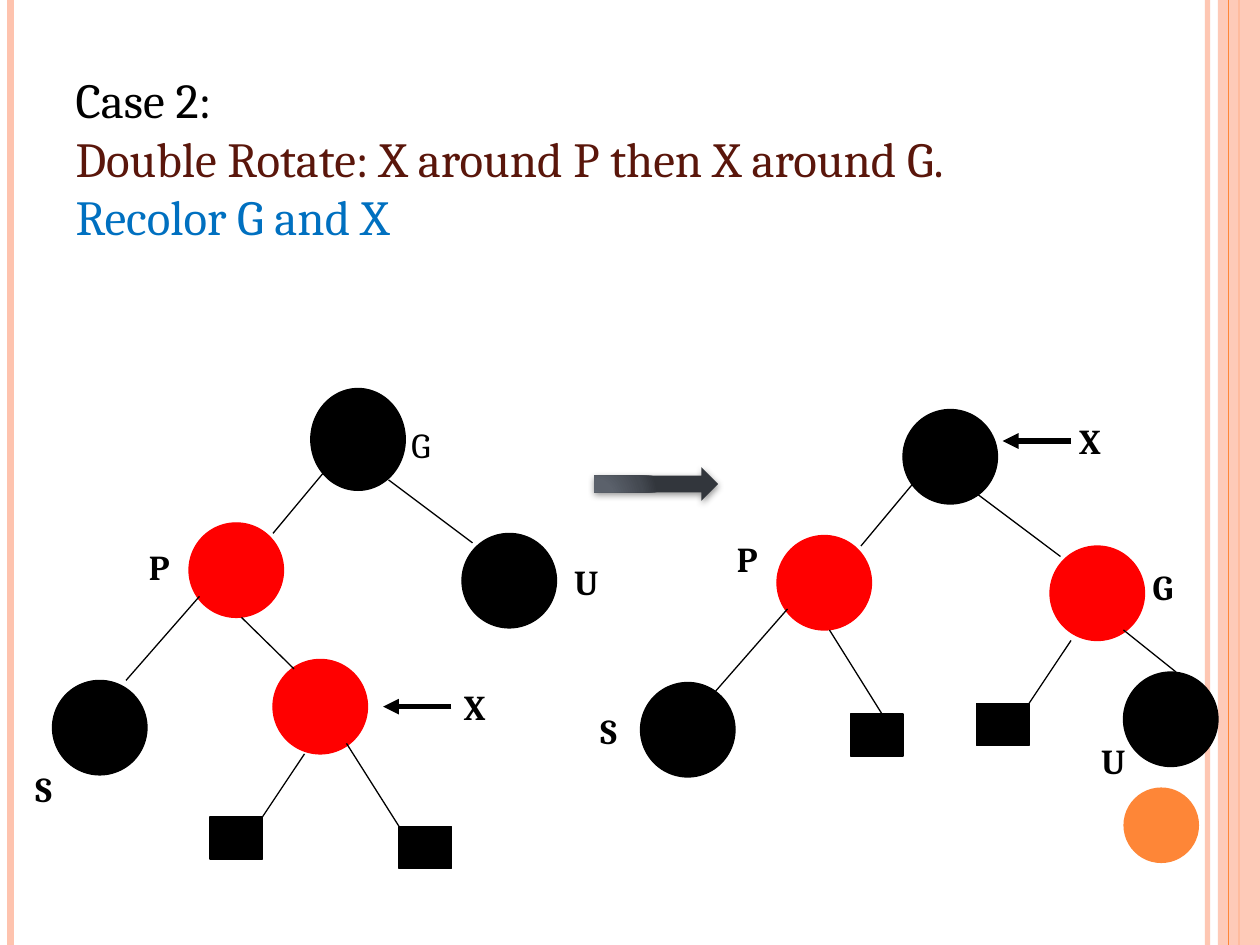
from dataclasses import dataclass

from pptx import Presentation
from pptx.dml.color import RGBColor
from pptx.enum.shapes import MSO_CONNECTOR, MSO_SHAPE
from pptx.enum.text import MSO_ANCHOR, MSO_AUTO_SIZE, PP_ALIGN
from pptx.oxml import parse_xml
from pptx.oxml.ns import nsdecls, qn
from pptx.oxml.xmlchemy import OxmlElement
from pptx.util import Emu, Pt

PX = 7620  # 120 px to the inch


@dataclass(frozen=True)
class Theme:
    font: str = "Cambria"
    title_size: int = 28
    label_size: int = 20
    black: str = "000000"
    red: str = "FF0000"
    brown: str = "5A160B"
    blue: str = "0070C0"
    peach: str = "FEC3AE"
    orange: str = "FE8637"
    arrow_stops: tuple = ((0, "5E656F"), (30, "5B616B"), (75, "444951"), (100, "32363C"))


def px(*lengths):
    return [Emu(length * PX) for length in lengths]


def set_alpha(fill_parent, percent):
    color = next(fill_parent.iter(qn("a:srgbClr")))
    alpha = OxmlElement("a:alpha")
    alpha.set("val", str(percent * 1000))
    color.append(alpha)


class SlideBuilder:
    def __init__(self, slide, theme):
        self.slide = slide
        self.theme = theme

    def styled_run(self, paragraph, text, size, color, bold=False):
        run = paragraph.add_run()
        run.text = text
        run.font.name = self.theme.font
        run.font.size = Pt(size)
        run.font.bold = bold
        run.font.color.rgb = RGBColor.from_string(color)

    def title(self, left, top, width, height, lines):
        title = self.slide.shapes.title
        title.left, title.top, title.width, title.height = px(left, top, width, height)
        frame = title.text_frame
        frame.word_wrap = True
        frame.auto_size = MSO_AUTO_SIZE.NONE
        frame.vertical_anchor = MSO_ANCHOR.TOP
        for index, (text, color) in enumerate(lines):
            paragraph = frame.add_paragraph() if index else frame.paragraphs[0]
            paragraph.alignment = PP_ALIGN.LEFT
            self.styled_run(paragraph, text, self.theme.title_size, color)

    def shape(self, kind, left, top, width, height, color, outlined=True, alpha=None):
        shape = self.slide.shapes.add_shape(kind, *px(left, top, width, height))
        shape.shadow.inherit = False
        shape.fill.solid()
        shape.fill.fore_color.rgb = RGBColor.from_string(color)
        if alpha:
            set_alpha(shape._element.spPr, alpha)
        if outlined:
            shape.line.color.rgb = RGBColor.from_string(color)
            shape.line.width = Pt(0.75)
        else:
            shape.line.fill.background()
        return shape

    def node(self, left, top, color, height=90):
        self.shape(MSO_SHAPE.OVAL, left, top, 90, height, color)

    def leaf(self, left, top):
        self.shape(MSO_SHAPE.RECTANGLE, left, top, 50, 40, self.theme.black)

    def line(self, x1, y1, x2, y2, color, width=0.75, alpha=None, arrow=False):
        line = self.slide.shapes.add_connector(MSO_CONNECTOR.STRAIGHT, *px(x1, y1, x2, y2))
        line.line.color.rgb = RGBColor.from_string(color)
        line.line.width = Pt(width)
        properties = line._element.spPr
        if alpha:
            set_alpha(properties, alpha)
        if arrow:
            tail = OxmlElement("a:tailEnd")
            tail.set("type", "triangle")
            properties.find(qn("a:ln")).append(tail)
        properties.append(OxmlElement("a:effectLst"))

    def label(self, text, left, top, width=50, bold=True):
        box = self.slide.shapes.add_textbox(*px(left, top, width, 53))
        box.text_frame.word_wrap = True
        self.styled_run(box.text_frame.paragraphs[0], text,
                        self.theme.label_size, self.theme.black, bold)

    def step_arrow(self, left, top, width, height):
        arrow = self.shape(MSO_SHAPE.RIGHT_ARROW, left, top, width, height,
                           self.theme.black, outlined=False)
        stops = "".join(f'<a:gs pos="{pos * 1000}"><a:srgbClr val="{color}"/></a:gs>'
                        for pos, color in self.theme.arrow_stops)
        properties = arrow._element.spPr
        properties.replace(properties.find(qn("a:solidFill")), parse_xml(
            f'<a:gradFill {nsdecls("a")} rotWithShape="1"><a:gsLst>{stops}</a:gsLst>'
            '<a:path path="circle"><a:fillToRect l="5000" t="100000" r="120000" b="10000"/>'
            '</a:path></a:gradFill>'))
        properties.find(qn("a:effectLst")).append(parse_xml(
            f'<a:outerShdw {nsdecls("a")} blurRad="{Pt(4)}" dist="{Pt(1.6)}" dir="5400000" '
            'rotWithShape="0"><a:srgbClr val="000000"><a:alpha val="42000"/></a:srgbClr>'
            '</a:outerShdw>'))

    def tree(self, nodes, leaves, edges, labels, pointer):
        for node in nodes:
            self.node(*node)
        for leaf in leaves:
            self.leaf(*leaf)
        for edge in edges:
            self.line(*edge, self.theme.black)
        for label in labels:
            self.label(*label)
        self.line(*pointer, self.theme.black, width=3, arrow=True)


def main():
    deck = Presentation()
    deck.slide_width, deck.slide_height = px(1200, 900)
    theme = Theme()
    page = SlideBuilder(deck.slides.add_slide(deck.slide_layouts[5]), theme)

    # Side stripes and corner dot
    page.line(1150, 0, 1150, 900, theme.peach, 3, alpha=93)
    page.line(10, 0, 10, 900, theme.peach, 4.5)
    page.line(1180, 0, 1180, 900, theme.orange, 1.5)
    page.shape(MSO_SHAPE.RECTANGLE, 1160, 0, 40, 900, theme.peach, outlined=False, alpha=87)
    page.line(1170, 0, 1170, 900, theme.orange)
    page.shape(MSO_SHAPE.OVAL, 1070, 750, 72, 72, theme.orange, outlined=False)

    # Title
    page.title(60, 60, 1040, 181, [
        ("Case 2:", theme.black),
        ("Double Rotate: X around P then X around G.", theme.brown),
        ("Recolor G and X", theme.blue),
    ])

    # Tree before the rotation
    page.tree(
        nodes=[(296, 370, theme.black, 97), (180, 498, theme.red), (440, 508, theme.black),
               (260, 628, theme.red), (50, 648, theme.black)],
        leaves=[(200, 778), (380, 787)],
        edges=[(310, 448, 260, 508), (370, 457, 450, 517), (230, 588, 280, 637),
               (290, 718, 250, 778), (330, 708, 380, 787), (190, 568, 120, 648)],
        labels=[("X", 430, 647, 90), ("P", 130, 514), ("G", 380, 397, 70, False),
                ("U", 535, 528), ("S", 22, 725, 70)],
        pointer=(430, 673, 365, 673),
    )

    # Tree after the rotation
    page.tree(
        nodes=[(860, 390, theme.black), (740, 510, theme.red), (1000, 520, theme.red),
               (1070, 640, theme.black), (610, 650, theme.black)],
        leaves=[(930, 670), (810, 680)],
        edges=[(870, 460, 820, 520), (930, 470, 1010, 530), (1070, 600, 1120, 640),
               (1020, 610, 980, 670), (790, 600, 840, 680), (750, 580, 680, 660)],
        labels=[("X", 1016, 394, 90), ("P", 690, 506), ("G", 1086, 533),
                ("S", 560, 670), ("U", 1037, 698)],
        pointer=(1020, 420, 955, 420),
    )

    # Step from one tree to the other
    page.step_arrow(566, 445, 118, 32)

    deck.save("out.pptx")


if __name__ == "__main__":
    main()
